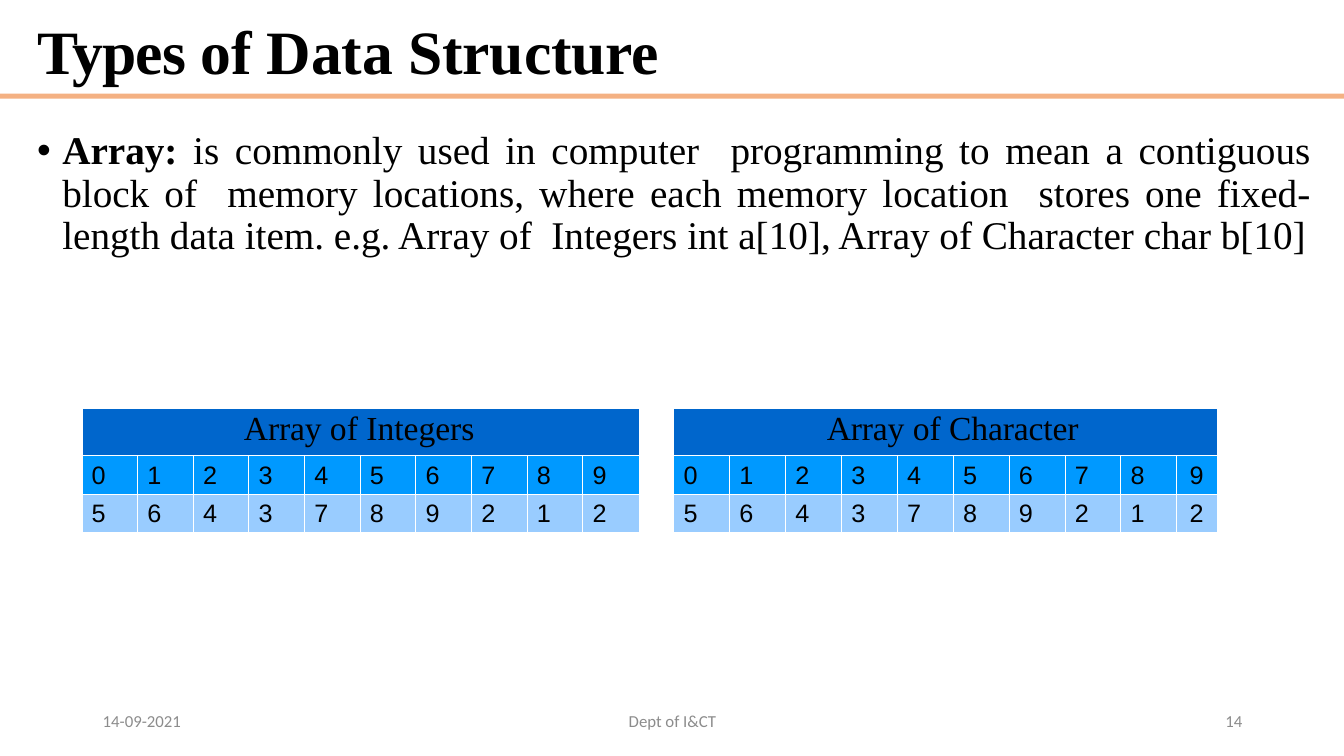
import pptx
import pptx.dml.color
import pptx.enum.shapes
import pptx.enum.text
import pptx.oxml
import pptx.oxml.ns
import pptx.util
from pptx.util import Inches

RGBColor = pptx.dml.color.RGBColor
ALIGN = pptx.enum.text.PP_ALIGN
ANCHOR = pptx.enum.text.MSO_ANCHOR

BLACK = RGBColor(0x00, 0x00, 0x00)
GRAY = RGBColor(0x8C, 0x8C, 0x8C)
ORANGE = RGBColor(0xF4, 0xB1, 0x83)
HEADER_BLUE = RGBColor(0x00, 0x66, 0xCC)
INDEX_BLUE = RGBColor(0x00, 0x99, 0xFF)
VALUE_BLUE = RGBColor(0x99, 0xCC, 0xFF)

SERIF = "Times New Roman"
INDEXES = "0123456789"
VALUES = "5643789212"


class Slide:
    def __init__(self, prs):
        self.s = prs.slides.add_slide(prs.slide_layouts[6])

    def bar(self, x, y, w, h, color):
        sp = self.s.shapes.add_shape(
            pptx.enum.shapes.MSO_SHAPE.RECTANGLE,
            Inches(x), Inches(y), Inches(w), Inches(h))
        sp.shadow.inherit = False
        sp.fill.solid()
        sp.fill.fore_color.rgb = color
        sp.line.fill.background()

    def add_runs(self, p, runs, size, font, color=BLACK):
        for text, bold, spacing in runs:
            r = p.add_run()
            r.text = text
            r.font.size = pptx.util.Pt(size)
            r.font.name = font
            r.font.bold = bold
            r.font.color.rgb = color
            if spacing:
                r._r.get_or_add_rPr().set("spc", str(round(spacing * 100)))

    def text(self, x, y, w, h, runs, size, font, color=BLACK,
             align=ALIGN.LEFT, anchor=ANCHOR.MIDDLE, line_spacing=1.0):
        tf = self.s.shapes.add_textbox(
            Inches(x), Inches(y), Inches(w), Inches(h)).text_frame
        tf.word_wrap = True
        tf.vertical_anchor = anchor
        p = tf.paragraphs[0]
        p.alignment = align
        p.line_spacing = line_spacing
        self.add_runs(p, runs, size, font, color)
        return p

    def bullet(self, p, indent):
        pPr = p._p.get_or_add_pPr()
        pPr.set("marL", str(Inches(indent)))
        pPr.set("indent", str(-Inches(indent)))
        ns = pptx.oxml.ns.nsdecls("a")
        for xml in (f'<a:buFont {ns} typeface="Arial"/>', f'<a:buChar {ns} char="•"/>'):
            pPr.append(pptx.oxml.parse_xml(xml))

    def border(self, cell):
        tcPr = cell._tc.get_or_add_tcPr()
        for side in "LRTB":
            tcPr.append(pptx.oxml.parse_xml(
                f'<a:ln{side} {pptx.oxml.ns.nsdecls("a")} w="3175"><a:solidFill>'
                f'<a:srgbClr val="FFFFFF"/></a:solidFill></a:ln{side}>'))

    def cell(self, cell, runs, size, font, fill, top, indent, space, align=ALIGN.LEFT):
        self.border(cell)
        cell.fill.solid()
        cell.fill.fore_color.rgb = fill
        cell.margin_left = cell.margin_right = cell.margin_bottom = 0
        cell.margin_top = Inches(top) + pptx.util.Pt(space)
        p = cell.text_frame.paragraphs[0]
        p.alignment = align
        p._p.get_or_add_pPr().set("marL", str(Inches(indent)))
        self.add_runs(p, runs, size, font)

    def array(self, x, y, w, last, header, header_indent, last_align):
        count = len(INDEXES)
        table = self.s.shapes.add_table(
            3, count, Inches(x), Inches(y), Inches(w), Inches(1.23)).table
        table.first_row = table.horz_banding = False
        widths = [(w - last) / (count - 1)] * (count - 1) + [last]
        for column, width in zip(table.columns, widths):
            column.width = Inches(width)
        for row, height in zip(table.rows, (0.47, 0.38, 0.38)):
            row.height = Inches(height)
        table.cell(0, 0).merge(table.cell(0, count - 1))
        self.cell(table.cell(0, 0), header, 24, SERIF, HEADER_BLUE, 0.01, header_indent, 1)
        for i, (digits, fill) in enumerate(((INDEXES, INDEX_BLUE), (VALUES, VALUE_BLUE)), 1):
            for j, digit in enumerate(digits):
                align = last_align if j == count - 1 else ALIGN.LEFT
                indent = 0 if align == ALIGN.CENTER else 0.1
                self.cell(table.cell(i, j), [(digit, False, 0)], 18, "Arial",
                          fill, 0.03, indent, 2, align)


def main():
    prs = pptx.Presentation()
    prs.slide_width = Inches(13.33)
    prs.slide_height = Inches(7.5)
    slide = Slide(prs)
    slide.bar(0, 0.93, 13.33, 0.05, ORANGE)
    slide.text(0.27, 0.15, 12.15, 0.79,
               [("Types ", True, -0.7), ("of Data Structure", True, -0.1)],
               44, SERIF, line_spacing=0.9)
    definition = (
        "is commonly used in computer  programming to mean a contiguous block of  "
        "memory locations, where each memory location  stores one fixed-length data "
        "item. e.g. Array of  Integers int a[10], Array of Character char b[10]")
    p = slide.text(0.27, 1.25, 12.83, 5.6,
                   [("Array: ", True, 0), (definition, False, 0)], 28, SERIF,
                   align=ALIGN.JUSTIFY, anchor=ANCHOR.TOP, line_spacing=0.9)
    slide.bullet(p, 0.25)
    for x, w, label, align in ((0.92, 3, "14-09-2021", ALIGN.LEFT),
                               (4.42, 4.5, "Dept of I&CT", ALIGN.CENTER),
                               (9.42, 3, "14", ALIGN.RIGHT)):
        slide.text(x, 6.95, w, 0.4, [(label, False, 0)], 12, "Calibri", GRAY, align)
    slide.array(0.81, 4.05, 5.53, 0.56,
                [("Array ", False, -0.1), ("of Integers", False, 0)], 1.61, ALIGN.LEFT)
    slide.array(6.68, 4.05, 5.39, 0.4,
                [("Array ", False, -0.1), ("of ", False, 0), ("Character", False, -0.1)],
                1.52, ALIGN.CENTER)
    prs.save("out.pptx")


if __name__ == "__main__":
    main()
